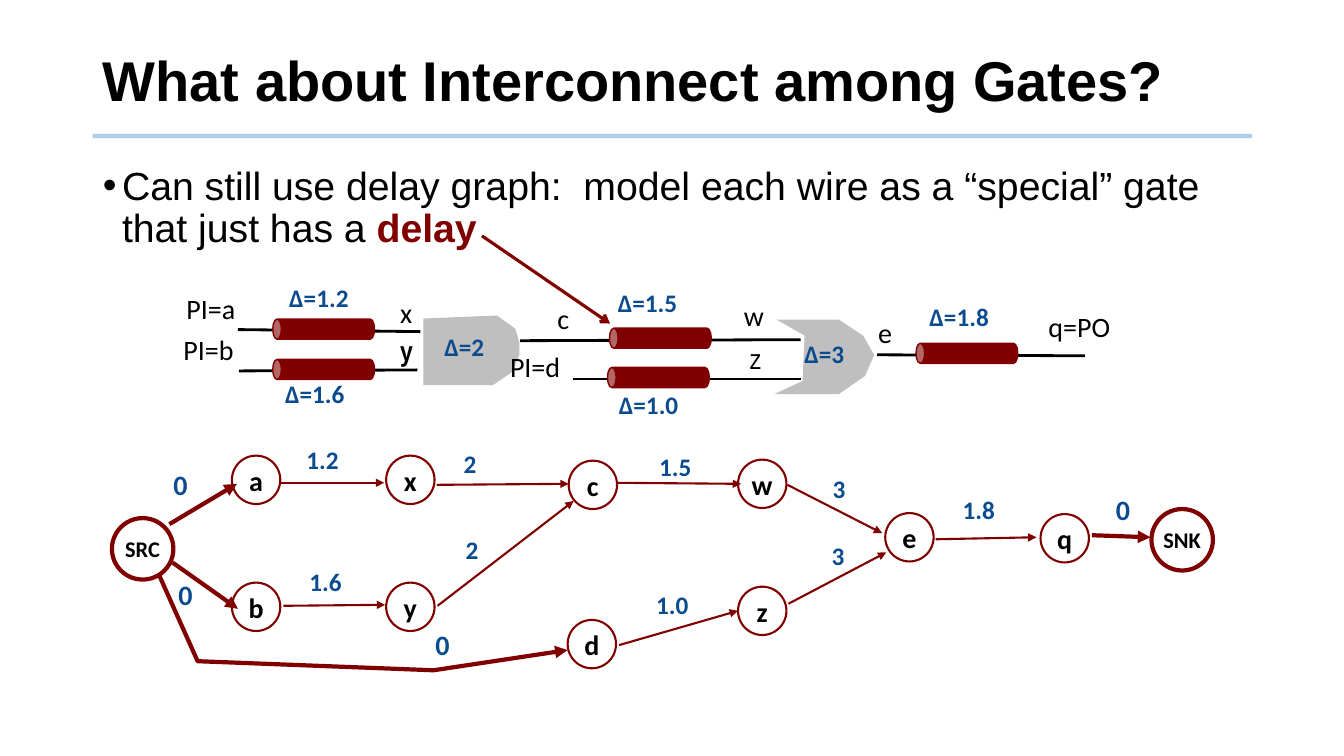
from lxml import etree
from pptx import Presentation
from pptx.dml.color import RGBColor
from pptx.enum import shapes, text
from pptx.oxml import ns
from pptx.util import Inches, Pt

BLACK = RGBColor(0, 0, 0)
MAROON = RGBColor(0x80, 0, 0)
BLUE = RGBColor(0x0B, 0x4B, 0x8E)
GREY = RGBColor(0xBF, 0xBF, 0xBF)
RULE = RGBColor(0x5B, 0x9B, 0xD5)

TITLE = "What about Interconnect among Gates?"
BODY = [("Can still use delay graph:  model each wire as a “special” gate that just has a ",
         dict(bold=False), BLACK),
        ("delay", dict(bold=True), MAROON)]

# Circuit: outlines, wires, wire delays, signal names
GATES = [
    [(4.2, 3.16), (4.2, 3.82), (4.89, 3.82), (5.08, 3.69), (5.15, 3.52),
     (5.15, 3.39), (5.11, 3.26), (4.93, 3.13)],
    [(7.7, 3.17), (8.32, 3.17), (8.56, 3.33), (8.67, 3.52), (8.58, 3.73),
     (8.32, 3.91), (7.68, 3.91), (7.96, 3.78), (7.98, 3.33)],
]
WIRES = [(5.16, 3.38, 7.94, 3.37), (2.36, 3.27, 4.17, 3.29), (2.37, 3.68, 4.14, 3.67),
         (5.68, 3.76, 7.94, 3.76), (8.7, 3.52, 10.76, 3.53)]
CANS = [(3.11, 2.76), (3.11, 3.16), (6.45, 2.85), (6.43, 3.24), (9.49, 3)]
SIGNALS = [("PI=a", 1.75, 2.84, 0.9), ("PI=b", 1.72, 3.25, 0.91), ("c", 5.43, 2.94, 0.4),
           ("PI=d", 4.96, 3.42, 0.91), ("e", 8.61, 3.08, 0.41), ("x", 3.87, 2.88, 0.33),
           ("w", 7.28, 2.91, 0.4), ("q=PO", 10.3, 3.02, 1.07)]
NARROW_SIGNALS = [("y", 3.87, 3.26, True), ("z", 7.34, 3.34, False)]
DELAYS = [("∆=2", 4.31, 3.24, 0.76), ("∆=3", 7.88, 3.31, 0.77), ("∆=1.2", 2.77, 2.75, 1.01),
          ("∆=1.6", 2.73, 3.7, 1.01), ("∆=1.5", 6.03, 2.8, 1.01), ("∆=1.0", 6.04, 3.81, 1.01),
          ("∆=1.8", 9.12, 2.94, 1.01)]

# Delay graph: nodes, edges, edge weights
NODES = [("a", 2.3, 4.52), ("b", 2.3, 5.78), ("x", 3.83, 4.52), ("y", 3.83, 5.78),
         ("c", 5.64, 4.57), ("d", 5.63, 6.15), ("w", 7.32, 4.56), ("z", 7.32, 5.82),
         ("e", 8.78, 5.09), ("q", 10.32, 5.1)]
TERMINALS = [("SRC", 1.11, 5.14), ("SNK", 11.42, 5.05)]
EDGES = [(2.79, 4.79, 3.81, 4.79), (2.81, 6.01, 3.82, 6), (6.12, 4.79, 7.35, 4.8),
         (6.14, 6.4, 7.32, 6.06), (4.33, 4.81, 5.64, 4.8), (4.34, 6.01, 5.69, 4.97),
         (7.82, 5.99, 8.79, 5.48), (7.81, 4.81, 8.75, 5.29), (9.28, 5.35, 10.28, 5.33)]
TERMINAL_EDGES = [(1.71, 5.58, 2.36, 6.04), (1.68, 5.2, 2.35, 4.8), (10.83, 5.31, 11.41, 5.33)]
SRC_TO_D = [(1.58, 5.71), (1.96, 6.56), (4.3, 6.65), (5.63, 6.45)]
WEIGHTS = [("1.2", 2.94, 4.36), ("1.6", 2.97, 5.57), ("1.5", 6.44, 4.43), ("1.0", 6.41, 5.8),
           ("1.8", 9.45, 4.86), ("2", 4.5, 4.4), ("2", 4.52, 5.25), ("3", 8.16, 4.65),
           ("3", 8.15, 5.31)]
ZEROS = [(1.62, 4.59), (1.67, 5.68), (10.97, 4.84), (4.22, 6.18)]

prs = Presentation()
prs.slide_width, prs.slide_height = Inches(13.33), Inches(7.5)
s = prs.slides.add_slide(prs.slide_layouts[1])


def set_attrs(obj, values):
    for name, value in values.items():
        setattr(obj, name, value)


def add_run(p, words, color, **font):
    r = p.add_run()
    r.text = words
    r.font.color.rgb = color
    set_attrs(r.font, font)


def arrowhead(sp, kind):
    etree.SubElement(sp.line._get_or_add_ln(), ns.qn("a:tailEnd"), type=kind)


def line(x1, y1, x2, y2, color, width, head=None):
    sp = s.shapes.add_connector(shapes.MSO_CONNECTOR.STRAIGHT,
                                *map(Inches, (x1, y1, x2, y2)))
    sp.line.color.rgb, sp.line.width = color, Pt(width)
    if head:
        arrowhead(sp, head)
    etree.SubElement(sp._element.spPr, ns.qn("a:effectLst"))
    return sp


def outline(points, close):
    start, *rest = [(Inches(x), Inches(y)) for x, y in points]
    fb = s.shapes.build_freeform(*start)
    fb.add_line_segments(rest, close=close)
    sp = fb.convert_to_shape()
    sp.shadow.inherit = False
    return sp


def label(words, x, y, w, h, color, size, bold, face="Calibri"):
    tf = s.shapes.add_textbox(*map(Inches, (x, y, w, h))).text_frame
    tf.word_wrap = False
    add_run(tf.paragraphs[0], words, color, size=Pt(size), bold=bold, name=face)


def node(words, x, y, d, width, size):
    sp = s.shapes.add_shape(shapes.MSO_SHAPE.OVAL, *map(Inches, (x, y, d, d)))
    sp.shadow.inherit = False
    sp.fill.background()
    sp.line.color.rgb, sp.line.width = MAROON, Pt(width)
    tf = sp.text_frame
    set_attrs(tf, dict(word_wrap=False, vertical_anchor=text.MSO_ANCHOR.MIDDLE))
    p = tf.paragraphs[0]
    p.alignment = text.PP_ALIGN.CENTER
    add_run(p, words, BLACK, size=Pt(size), bold=True, name="Calibri")


# Title, rule and bullet
rule = line(0.92, 1.35, 12.42, 1.35, RULE, 3)
rule_color = rule.line._get_or_add_ln().find(".//" + ns.qn("a:srgbClr"))
etree.SubElement(rule_color, ns.qn("a:alpha"), val="50000")

title, body = s.placeholders
for sp, top, height, anchor in ((title, 0.28, 1.1, text.MSO_ANCHOR.MIDDLE),
                                (body, 1.6, 5.15, text.MSO_ANCHOR.TOP)):
    set_attrs(sp, dict(left=Inches(0.92), top=Inches(top), width=Inches(11.5),
                       height=Inches(height)))
    set_attrs(sp.text_frame, dict(vertical_anchor=anchor, word_wrap=True,
                                  auto_size=text.MSO_AUTO_SIZE.NONE))
    set_attrs(sp.text_frame.paragraphs[0], dict(alignment=text.PP_ALIGN.LEFT,
                                                line_spacing=0.9))
add_run(title.text_frame.paragraphs[0], TITLE, BLACK, size=Pt(40), bold=True, name="Arial")
p = body.text_frame.paragraphs[0]
p.space_before = Pt(10)
pPr = p._p.get_or_add_pPr()
pPr.set("marL", str(Inches(0.19)))
pPr.set("indent", str(-Inches(0.19)))
etree.SubElement(pPr, ns.qn("a:buChar"), char="•")
for words, font, color in BODY:
    add_run(p, words, color, size=Pt(28), name="Arial", **font)

# Circuit
for points in GATES:
    sp = outline(points, True)
    sp.fill.solid()
    sp.fill.fore_color.rgb = GREY
    sp.line.fill.background()
for wire in WIRES:
    line(*wire, BLACK, 2)
for words, x, y, w in SIGNALS:
    label(words, x, y, w, 0.51, BLACK, 20, False)
for words, x, y, bold in NARROW_SIGNALS:
    label(words, x, y, 0.33, 0.51, BLACK, 20, bold, "Arial Narrow")
for x, y in CANS:
    sp = s.shapes.add_shape(shapes.MSO_SHAPE.CAN, *map(Inches, (x, y, 0.2, 1.01)))
    sp.shadow.inherit = False
    sp.rotation = 270
    sp.adjustments[0] = 0.43
    sp.fill.solid()
    sp.fill.fore_color.rgb = sp.line.color.rgb = MAROON
    sp.line.width = Pt(1)
for words, x, y, w in DELAYS:
    label(words, x, y, w, 0.47, BLUE, 18, True)

# Delay graph
for name, x, y in NODES:
    node(name, x, y, 0.48, 1.5, 20)
for name, x, y in TERMINALS:
    node(name, x, y, 0.61, 3, 16)
for edges, width in ((EDGES, 1.5), (TERMINAL_EDGES, 3)):
    for edge in edges:
        line(*edge, MAROON, width, "triangle")
sp = outline(SRC_TO_D, False)
sp.fill.background()
sp.line.color.rgb, sp.line.width = MAROON, Pt(3)
arrowhead(sp, "triangle")
for words, x, y in WEIGHTS:
    label(words, x, y, 0.64 if "." in words else 0.4, 0.47, BLUE, 18, True)
for x, y in ZEROS:
    label("0", x, y, 0.42, 0.51, BLUE, 20, True)

# Pointer from the word "delay" to a wire
line(4.78, 2.34, 6.05, 3.21, MAROON, 2.25, "arrow")

prs.save("out.pptx")
